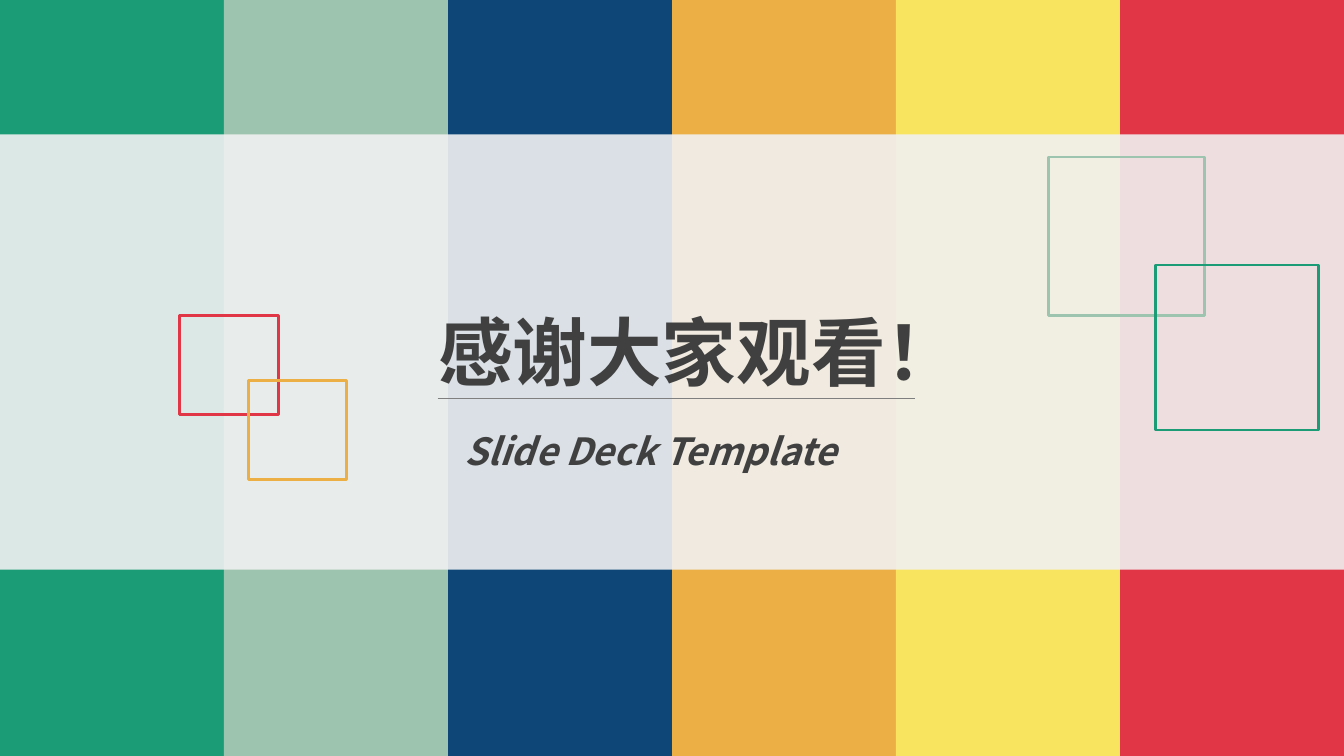
from lxml import etree
from pptx import Presentation, util as u
from pptx.dml.color import RGBColor
from pptx.enum import shapes, text
from pptx.oxml import ns

COLORS = {
    "green": "1B9C77", "sage": "9CC4AE", "navy": "0D4677",
    "orange": "ECAF45", "yellow": "F8E45E", "red": "E03646",
    "paper": "F1F1F1", "ink": "404040", "rule": "7F7F7F",
}
FONT = "Noto Sans CJK SC"
WIDTH, HEIGHT = 25.4, 14.29


def rgb(name):
    return RGBColor.from_string(COLORS[name])


class ClosingSlide:
    def __init__(self, prs):
        self.slide = prs.slides.add_slide(prs.slide_layouts[6])
        self.slide.background.fill.solid()
        self.slide.background.fill.fore_color.rgb = rgb("paper")

    def rectangle(self, x, y, w, h):
        box = self.slide.shapes.add_shape(
            shapes.MSO_SHAPE.RECTANGLE, u.Cm(x), u.Cm(y), u.Cm(w), u.Cm(h))
        box.shadow.inherit = False
        return box

    def block(self, x, y, w, h, color, opacity=100):
        box = self.rectangle(x, y, w, h)
        box.line.fill.background()
        box.fill.solid()
        box.fill.fore_color.rgb = rgb(color)
        if opacity < 100:
            tint = box.fill._xPr.find(".//" + ns.qn("a:srgbClr"))
            etree.SubElement(tint, ns.qn("a:alpha"), val=str(opacity * 1000))

    def frame(self, x, y, w, h, color):
        box = self.rectangle(x, y, w, h)
        box.fill.background()
        box.line.color.rgb = rgb(color)
        box.line.width = u.Pt(1.5)

    def rule(self, x1, x2, y):
        line = self.slide.shapes.add_connector(
            shapes.MSO_CONNECTOR.STRAIGHT, u.Cm(x1), u.Cm(y), u.Cm(x2), u.Cm(y))
        line.line.color.rgb = rgb("rule")
        line.line.width = u.Pt(0.5)
        etree.SubElement(line._element.spPr, ns.qn("a:effectLst"))

    def label(self, x, y, w, h, words, spacing=1.0, **formats):
        frame = self.slide.shapes.add_textbox(
            u.Cm(x), u.Cm(y), u.Cm(w), u.Cm(h)).text_frame
        frame.word_wrap = True
        frame.auto_size = text.MSO_AUTO_SIZE.SHAPE_TO_FIT_TEXT
        paragraph = frame.paragraphs[0]
        paragraph.line_spacing = spacing
        run = paragraph.add_run()
        run.text = words
        run.font.color.rgb = rgb("ink")
        for key, value in {"name": FONT, "bold": True, **formats}.items():
            setattr(run.font, key, value)
        # East Asian glyphs need their own typeface entry
        etree.SubElement(run._r.get_or_add_rPr(), ns.qn("a:ea"), typeface=FONT)


def main():
    prs = Presentation()
    prs.slide_width, prs.slide_height = u.Cm(WIDTH), u.Cm(HEIGHT)
    closing = ClosingSlide(prs)

    # Colour stripes across the whole slide
    stripes = ["green", "sage", "navy", "orange", "yellow", "red"]
    stripe_width = WIDTH / len(stripes)
    for i, color in enumerate(stripes):
        closing.block(i * stripe_width, 0, stripe_width, HEIGHT, color)

    # Translucent band
    closing.block(-0.08, 2.54, WIDTH + 0.08, 8.23, "paper", opacity=90)

    # Subtitle and thanks
    closing.label(8.53, 7.54, 8.51, 1.52, "Slide Deck Template",
                  spacing=1.5, size=u.Pt(20), italic=True)
    closing.label(8.03, 5.66, 11.79, 1.96, "感谢大家观看！", size=u.Pt(40))

    # Overlapping outlined squares, left pair then right pair
    for x, y, w, h, color in [
        (3.4, 5.96, 1.86, 1.88, "red"),
        (4.69, 7.19, 1.86, 1.88, "orange"),
        (19.81, 2.97, 2.95, 3.0, "sage"),
        (21.84, 5.01, 3.08, 3.12, "green"),
    ]:
        closing.frame(x, y, w, h, color)

    # Rule under the thanks
    closing.rule(8.27, 17.29, 7.54)

    prs.save("out.pptx")


if __name__ == "__main__":
    main()
